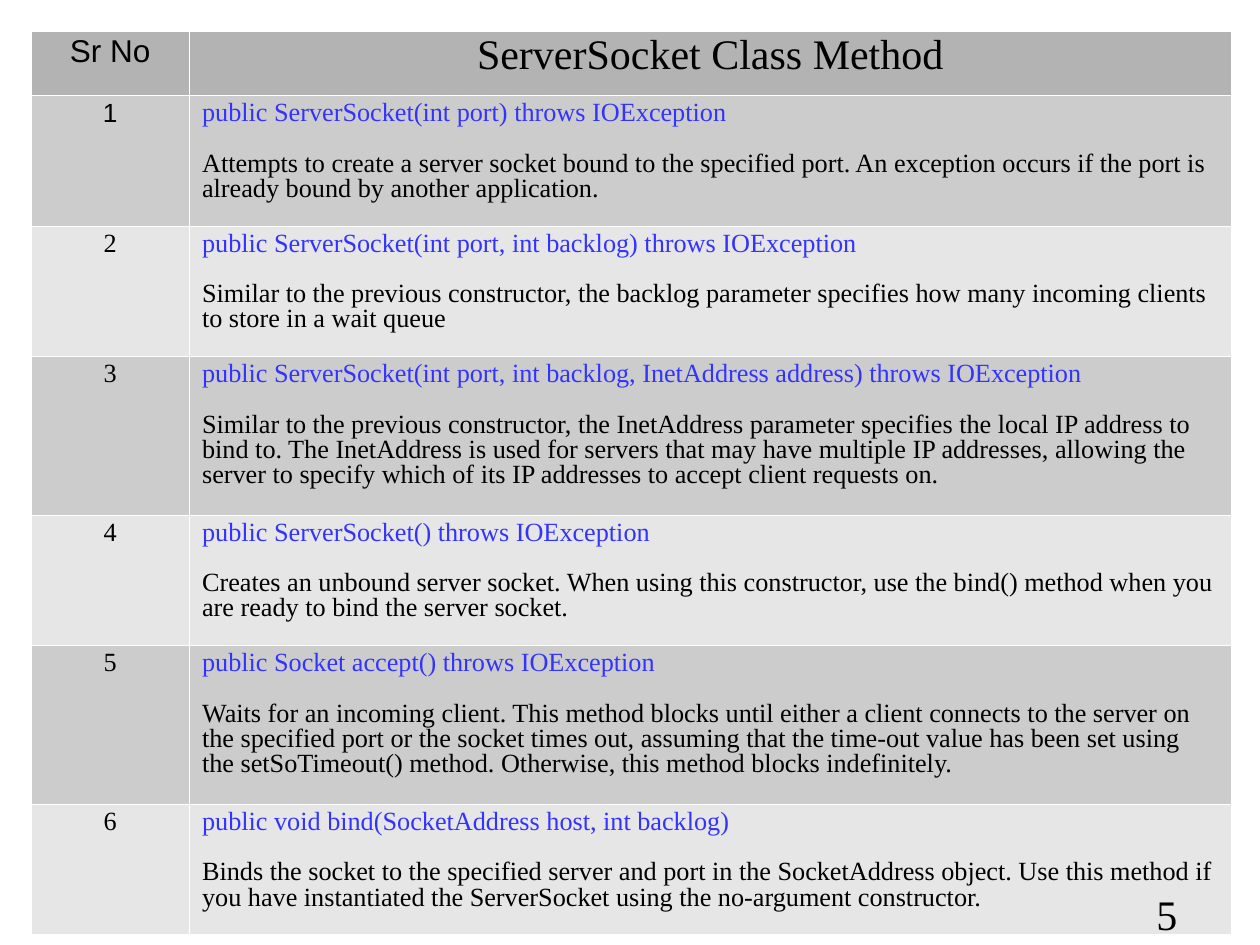
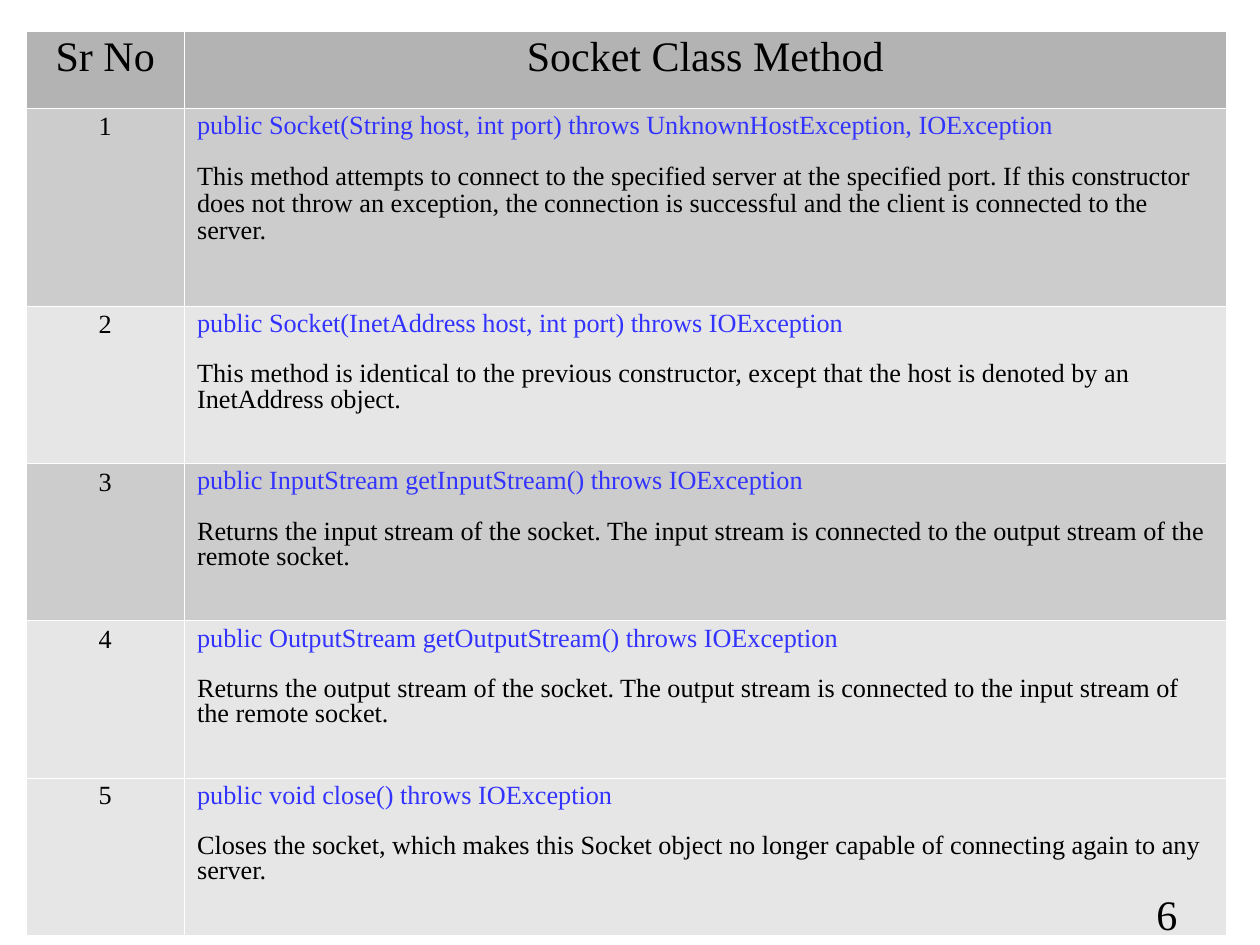
"""Build two slides of tables that list the methods of the ServerSocket and Socket classes."""
import pptx
import pptx.dml.color
import pptx.enum.text
import pptx.oxml
import pptx.oxml.ns
import pptx.util
from pptx.util import Cm

COLORS = {
    "header": "B3B3B3",
    "dark_row": "CCCCCC",
    "light_row": "E6E6E6",
    "border": "FFFFFF",
    "text": "000000",
    "signature": "3333FF",
}
SERIF = "Times New Roman"
COLUMN_WIDTHS = [3.2, 21.0]
BORDER_WIDTH = 762
DARK, LIGHT = "dark_row", "light_row"

tables = [
    {
        "title": "ServerSocket Class Method",
        "page": "5",
        "left": 0.62,
        "header_height": 1.3,
        "header_spacing": 0.87,
        "number_header": {"font": "Arial", "size": 18, "spacing": 0.89},
        "number_formats": [{"font": "Arial", "spacing": 0.89}] + [{"spacing": 0.87}] * 5,
        "description_spacings": [0.87] * 6,
        "row_heights": [2.63, 2.63, 3.2, 2.63, 3.2, 2.63],
        "row_fills": [DARK, LIGHT] * 3,
        "methods": [
            ("public ServerSocket(int port) throws IOException",
             "Attempts to create a server socket bound to the specified port. An exception occurs "
             "if the port is already bound by another application."),
            ("public ServerSocket(int port, int backlog) throws IOException",
             "Similar to the previous constructor, the backlog parameter specifies how many "
             "incoming clients to store in a wait queue"),
            ("public ServerSocket(int port, int backlog, InetAddress address) throws IOException",
             "Similar to the previous constructor, the InetAddress parameter specifies the local "
             "IP address to bind to. The InetAddress is used for servers that may have multiple IP "
             "addresses, allowing the server to specify which of its IP addresses to accept client "
             "requests on."),
            ("public ServerSocket() throws IOException",
             "Creates an unbound server socket. When using this constructor, use the bind() method "
             "when you are ready to bind the server socket."),
            ("public Socket accept() throws IOException",
             "Waits for an incoming client. This method blocks until either a client connects to "
             "the server on the specified port or the socket times out, assuming that the time-out "
             "value has been set using the setSoTimeout() method. Otherwise, this method blocks "
             "indefinitely."),
            ("public void bind(SocketAddress host, int backlog)",
             "Binds the socket to the specified server and port in the SocketAddress object. Use "
             "this method if you have instantiated the ServerSocket using the no-argument "
             "constructor."),
        ],
    },
    {
        "title": "Socket Class Method",
        "page": "6",
        "left": 0.52,
        "header_height": 1.55,
        "header_spacing": 0.93,
        "number_header": {"size": 24, "spacing": 0.93},
        "number_formats": [{"spacing": 0.93}] * 4 + [{"spacing": 0.87}],
        "description_spacings": [0.93] + [0.87] * 4,
        "row_heights": [4.0] + [3.17] * 4,
        "row_fills": [DARK, LIGHT, DARK, LIGHT, LIGHT],
        "methods": [
            ("public Socket(String host, int port) throws UnknownHostException, IOException",
             "This method attempts to connect to the specified server at the specified port. If "
             "this constructor does not throw an exception, the connection is successful and the "
             "client is connected to the server."),
            ("public Socket(InetAddress host, int port) throws IOException",
             "This method is identical to the previous constructor, except that the host is "
             "denoted by an InetAddress object."),
            ("public InputStream getInputStream() throws IOException",
             "Returns the input stream of the socket. The input stream is connected to the output "
             "stream of the remote socket."),
            ("public OutputStream getOutputStream() throws IOException",
             "Returns the output stream of the socket. The output stream is connected to the input "
             "stream of the remote socket."),
            ("public void close() throws IOException",
             "Closes the socket, which makes this Socket object no longer capable of connecting "
             "again to any server."),
        ],
    },
]


def write_text(frame, text, size=15, font=SERIF, color="text", spacing=1.0, before=0,
               centered=False):
    """Write one paragraph into a text frame, reusing its empty first paragraph."""
    paragraph = frame.add_paragraph() if frame.text else frame.paragraphs[0]
    paragraph.line_spacing = spacing
    if before:
        paragraph.space_before = pptx.util.Pt(before)
    alignments = pptx.enum.text.PP_ALIGN
    paragraph.alignment = alignments.CENTER if centered else alignments.LEFT
    run = paragraph.add_run()
    run.text = text
    run.font.size = pptx.util.Pt(size)
    run.font.name = font
    run.font.color.rgb = pptx.dml.color.RGBColor.from_string(COLORS[color])


def style_cell(cell, fill):
    """Give a cell its fill and its thin border on all four sides."""
    cell.fill.solid()
    cell.fill.fore_color.rgb = pptx.dml.color.RGBColor.from_string(COLORS[fill])
    properties = cell._tc.get_or_add_tcPr()
    for position, side in enumerate(["lnL", "lnR", "lnT", "lnB"]):
        line = pptx.oxml.parse_xml(
            f'<a:{side} {pptx.oxml.ns.nsdecls("a")} w="{BORDER_WIDTH}"><a:solidFill>'
            f'<a:srgbClr val="{COLORS["border"]}"/></a:solidFill></a:{side}>')
        properties.insert(position, line)


presentation = pptx.Presentation()
presentation.slide_width = Cm(25.4)
presentation.slide_height = Cm(19.05)

for content in tables:
    slide = presentation.slides.add_slide(presentation.slide_layouts[6])
    heights = [content["header_height"]] + content["row_heights"]
    table = slide.shapes.add_table(
        len(heights), len(COLUMN_WIDTHS), Cm(content["left"]), Cm(0.62),
        Cm(sum(COLUMN_WIDTHS)), Cm(sum(heights))).table
    table.first_row = False
    table.horz_banding = False
    for column, width in zip(table.columns, COLUMN_WIDTHS):
        column.width = Cm(width)
    for row, height, fill in zip(table.rows, heights, ["header"] + content["row_fills"]):
        row.height = Cm(height)
        for cell in row.cells:
            style_cell(cell, fill)

    write_text(table.cell(0, 0).text_frame, "Sr No", centered=True, **content["number_header"])
    write_text(table.cell(0, 1).text_frame, content["title"], size=24,
               spacing=content["header_spacing"], centered=True)

    method_rows = zip(content["methods"], content["number_formats"],
                      content["description_spacings"])
    for number, (method, number_format, spacing) in enumerate(method_rows, start=1):
        signature, description = method
        write_text(table.cell(number, 0).text_frame, str(number), centered=True, **number_format)
        method_frame = table.cell(number, 1).text_frame
        write_text(method_frame, signature, color="signature", spacing=0.87)
        write_text(method_frame, description, spacing=spacing, before=14.4)

    page_box = slide.shapes.add_textbox(Cm(23.06), Cm(17.78), Cm(1.25), Cm(1.25))
    page_box.text_frame.word_wrap = True
    write_text(page_box.text_frame, content["page"], size=24)

presentation.save("out.pptx")
